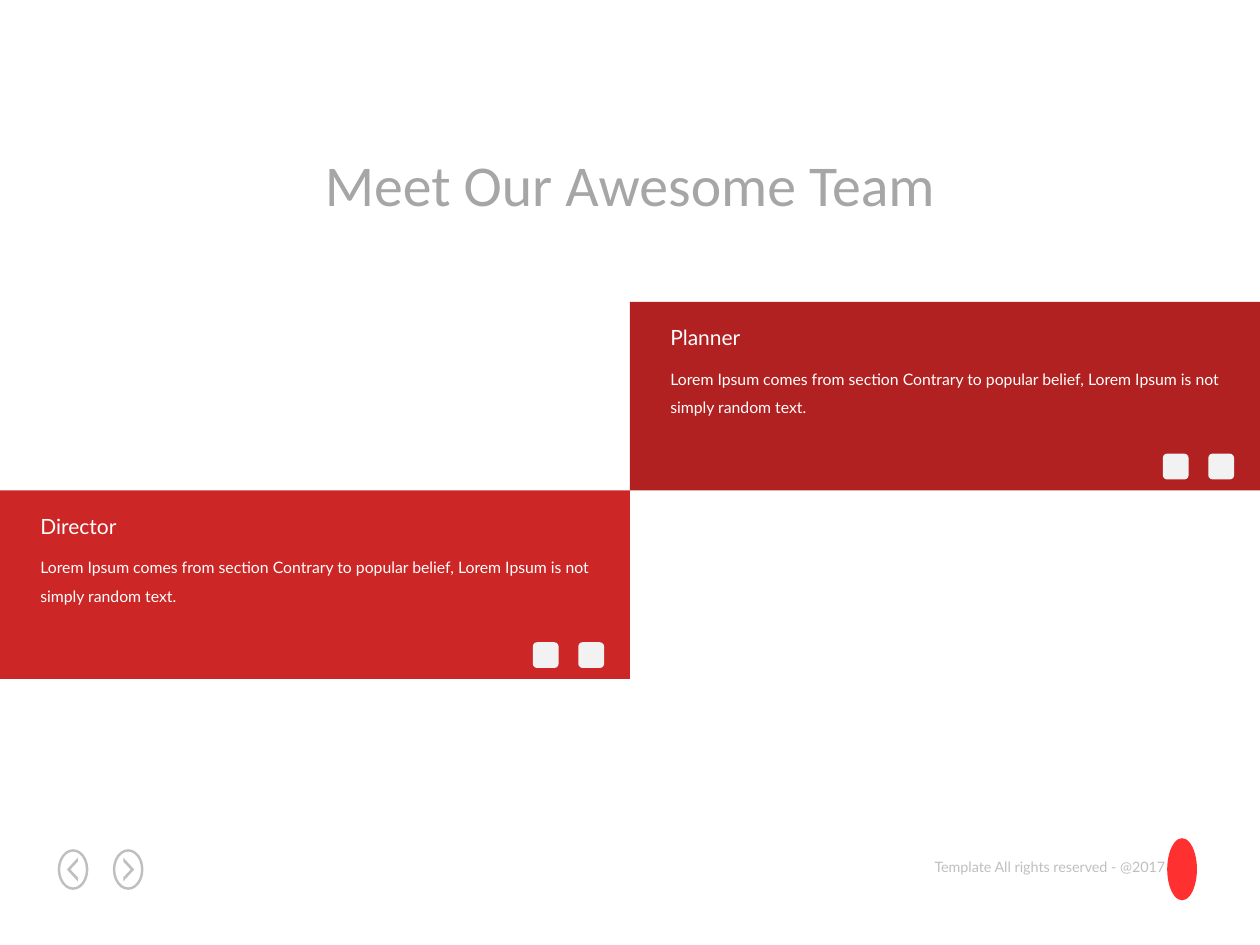
from dataclasses import dataclass
from pptx import Presentation
from pptx.dml import color
from pptx.enum import shapes, text
from pptx.util import Pt

KIND = shapes.MSO_SHAPE
ALIGN = text.PP_ALIGN


@dataclass(frozen=True)
class Theme:
    head: str = "Calibri"
    body: str = "Lato"
    title: str = "A6A6A6"
    muted: str = "BFBFBF"
    accent: str = "FF3030"
    red: str = "CC2626"
    dark: str = "B22121"
    icon: str = "F2F2F2"
    white: str = "FFFFFF"
    big: float = 33
    role: float = 12
    small: float = 9
    note: float = 8.2


THEME = Theme()


def paint(shape, tint):
    shape.shadow.inherit = False
    shape.fill.solid()
    shape.fill.fore_color.rgb = color.RGBColor.from_string(tint)
    shape.line.fill.background()
    return shape


def draw(slide, kind, box, tint):
    return paint(slide.shapes.add_shape(kind, *map(Pt, box)), tint)


def write(frame, words, size, tint, font=THEME.body, align=ALIGN.LEFT,
          wrap=False, space=1):
    frame.word_wrap = wrap
    frame.auto_size = text.MSO_AUTO_SIZE.NONE
    para = frame.paragraphs[0]
    para.alignment = align
    para.line_spacing = space
    run = para.add_run()
    run.text = words
    run.font.name = font
    run.font.size = Pt(size)
    run.font.color.rgb = color.RGBColor.from_string(tint)


def label(slide, box, words, size, tint, **style):
    frame = slide.shapes.add_textbox(*map(Pt, box)).text_frame
    write(frame, words, size, tint, **style)


def add_title(slide, box, words):
    title = slide.shapes.title
    title.left, title.top, title.width, title.height = map(Pt, box)
    title.text_frame.vertical_anchor = text.MSO_ANCHOR.TOP
    write(title.text_frame, words, THEME.big, THEME.title,
          font=THEME.head, align=ALIGN.CENTER)


def add_card(slide, box, role, about, tint):
    left, top, wide, high = box
    draw(slide, KIND.RECTANGLE, box, tint)
    label(slide, (left + 16, top + 29.75, wide - 30, 40), about,
          THEME.small, THEME.white, wrap=True, space=1.5)
    label(slide, (left + 16, top + 9.5, 59, 21.5), role,
          THEME.role, THEME.white)
    for gap in (55.5, 29.5):
        draw(slide, KIND.ROUNDED_RECTANGLE,
             (left + wide - gap, top + high - 21, 14.75, 14.75), THEME.icon)


def add_arrow(slide, box, side):
    left, top, wide, high = box
    ring = draw(slide, KIND.DONUT, box, THEME.muted)
    ring.adjustments[0] = 0.08
    midx, midy = left + wide / 2, top + high / 2
    back = midx - side * 2.75
    tip = midx + side * 3.5
    inner = tip - side * 2
    dots = [(back, midy - 4.5), (inner, midy), (back, midy + 4.5),
            (back, midy + 6.75), (tip, midy), (back, midy - 6.75)]
    points = [(Pt(x), Pt(y)) for x, y in dots]
    path = slide.shapes.build_freeform(*points[0])
    path.add_line_segments(points[1:])
    paint(path.convert_to_shape(), THEME.muted)


def add_footer(slide, box):
    left, top, wide, high = box
    for step, side in enumerate((-1, 1)):
        add_arrow(slide, (left + step * 31.5, top + 6.25, 17.5, 23.25), side)
    label(slide, (left + 489, top + 7.75, 151, 17),
          "Template All rights reserved - @2017", THEME.note, THEME.muted,
          align=ALIGN.RIGHT)
    draw(slide, KIND.OVAL, (left + wide - 17, top, 17, high), THEME.accent)


def main():
    deck = Presentation()
    deck.slide_width, deck.slide_height = Pt(720), Pt(540)
    slide = deck.slides.add_slide(deck.slide_layouts[5])
    add_footer(slide, (33, 479, 651, 35.5))
    add_title(slide, (160, 81.5, 400, 47.5), "Meet Our Awesome Team")
    about = ("Lorem Ipsum comes from section Contrary to popular belief, "
             "Lorem Ipsum is not simply random text.")
    wide, high, top = 360, 107.75, 172.5
    add_card(slide, (0, top + high, wide, high), "Director", about, THEME.red)
    add_card(slide, (wide, top, wide, high), "Planner", about, THEME.dark)
    deck.save("out.pptx")


if __name__ == "__main__":
    main()
